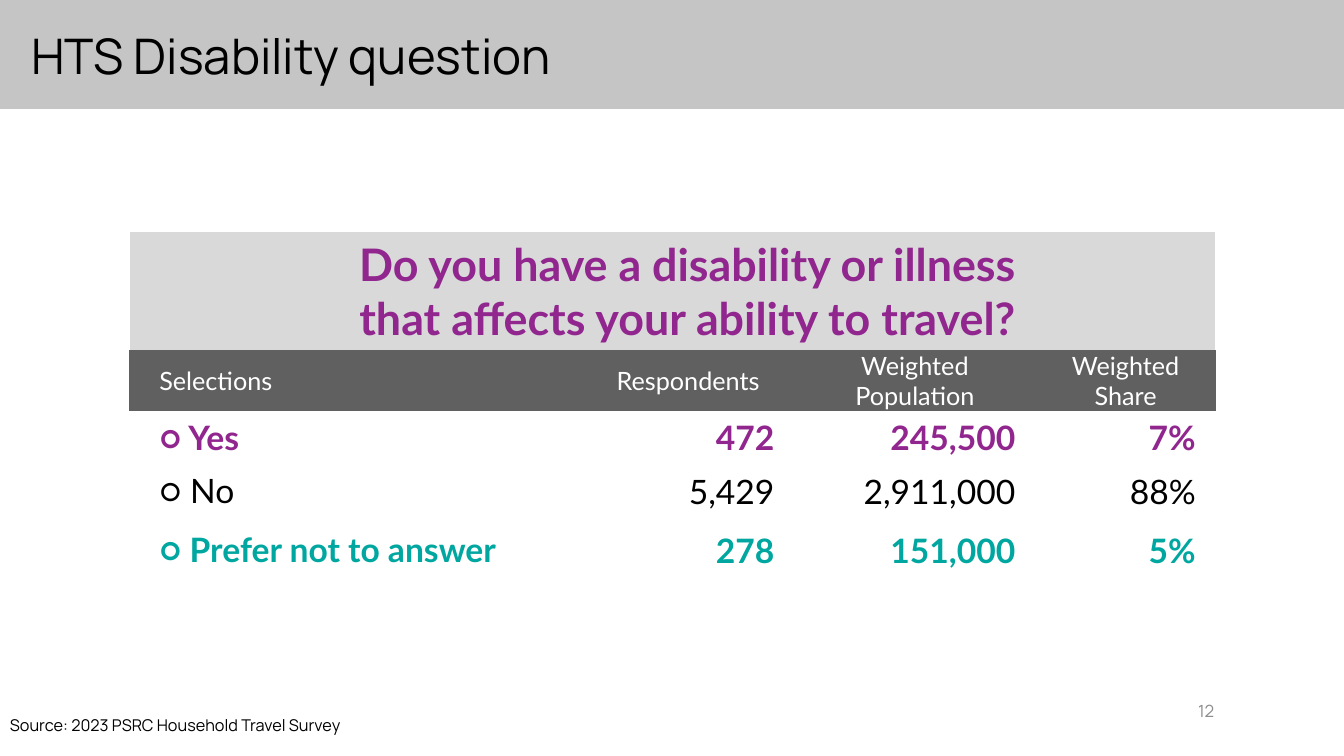
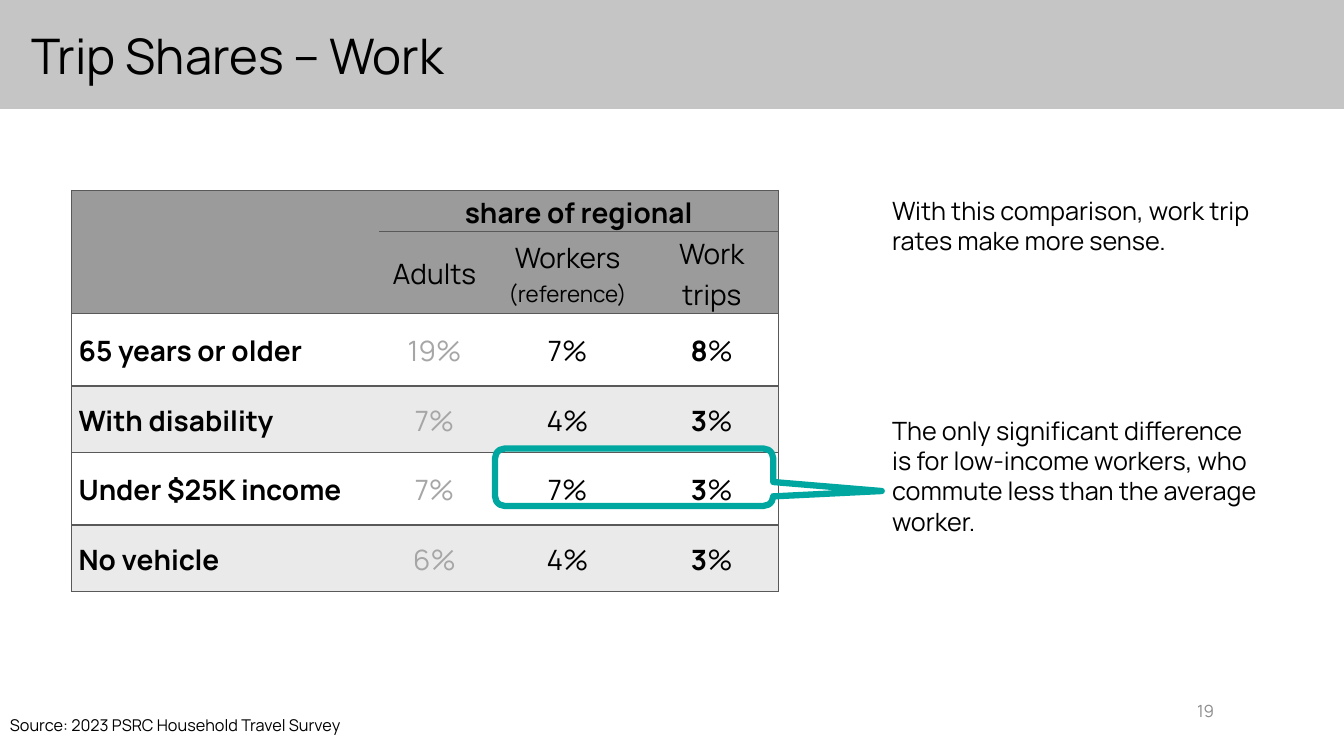
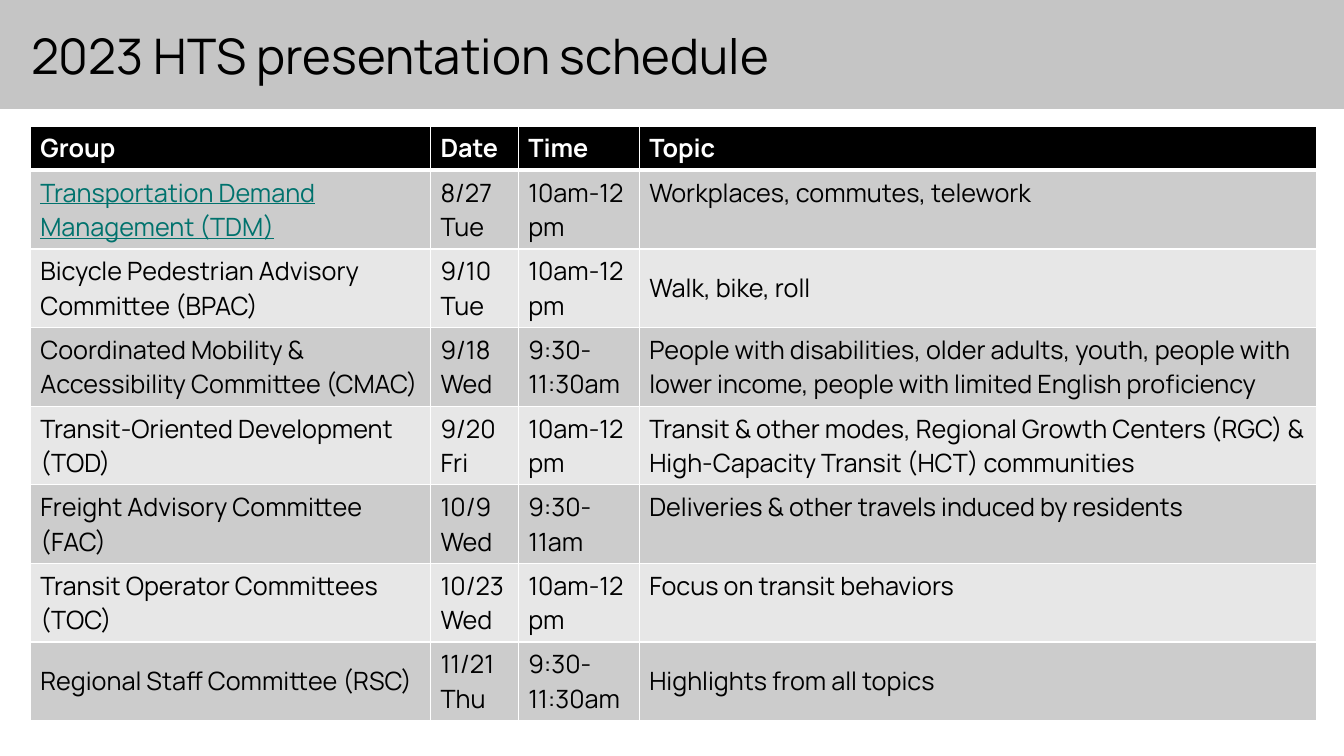
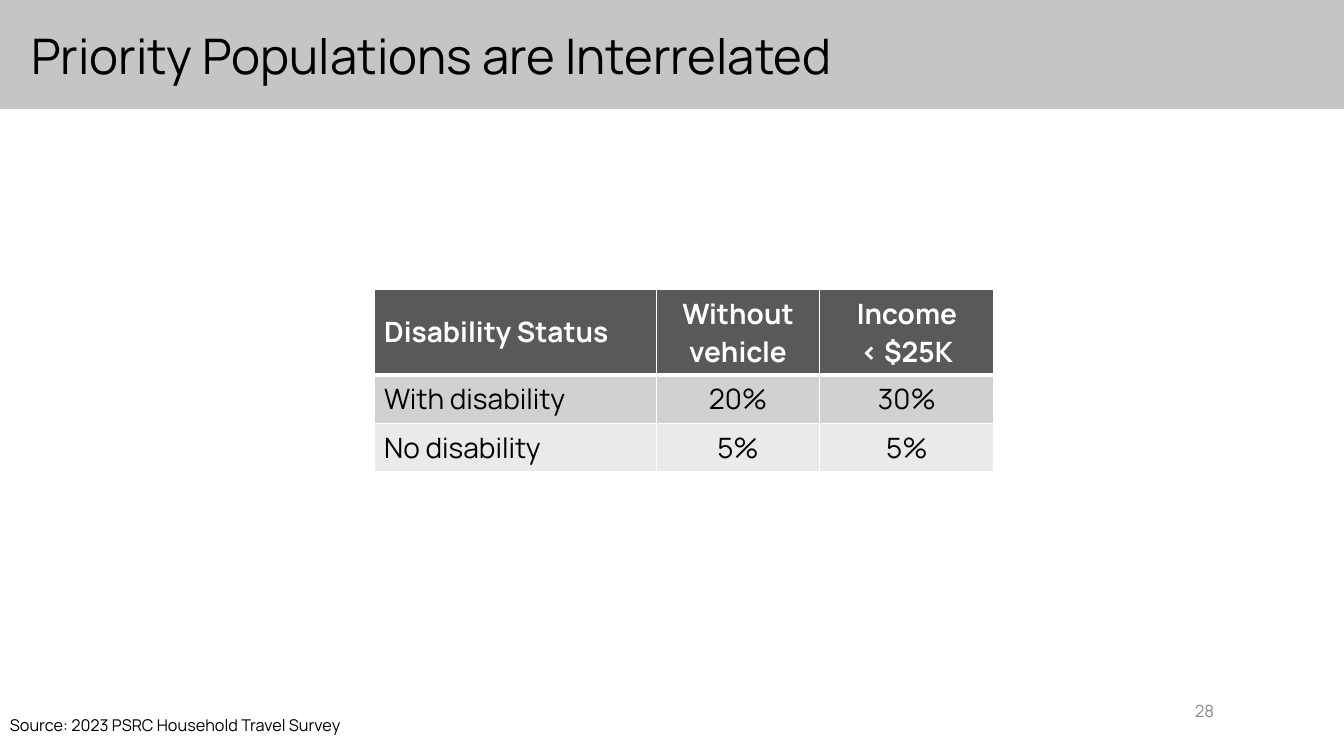
import dataclasses

import lxml.etree
import pptx
import pptx.dml.color
import pptx.enum.shapes
import pptx.enum.text
import pptx.oxml.ns
import pptx.util

Inches = pptx.util.Inches
Pt = pptx.util.Pt
LEFT = pptx.enum.text.PP_ALIGN.LEFT
CENTER = pptx.enum.text.PP_ALIGN.CENTER
RIGHT = pptx.enum.text.PP_ALIGN.RIGHT
TOP = pptx.enum.text.MSO_ANCHOR.TOP
MIDDLE = pptx.enum.text.MSO_ANCHOR.MIDDLE


@dataclasses.dataclass(frozen=True)
class Theme:
    """Colours, fonts and type sizes shared by the slides."""

    font: str = "Manrope"
    survey_font: str = "Lato"
    black: str = "000000"
    white: str = "FFFFFF"
    band: str = "C5C5C5"
    page: str = "8C8C8C"
    purple: str = "91268F"
    teal: str = "00A7A0"
    link: str = "00726D"
    question_fill: str = "D9D9D9"
    survey_head: str = "606060"
    share_head: str = "9B9B9B"
    share_line: str = "595959"
    muted: str = "A6A6A6"
    status_head: str = "595959"
    status_band: str = "D1D1D1"
    pale: str = "EAEAEA"
    schedule_bands: tuple = ("CCCCCC", "E7E7E7")
    title_size: float = 35
    question_size: float = 32
    answer_size: float = 24
    table_size: float = 20
    body_size: float = 18
    small_size: float = 16
    page_size: float = 12
    source_size: float = 11.6


T = Theme()


def rgb(color):
    """Turn a hex string into a colour."""
    return pptx.dml.color.RGBColor.from_string(color)


def style_run(r, size, color, bold, font):
    """Set the font of one run."""
    r.font.name = font
    r.font.size = Pt(size)
    r.font.bold = bold
    r.font.color.rgb = rgb(color)


def write(tf, text, size, color=T.black, bold=False, font=T.font, align=LEFT, spacing=None):
    """Fill a text frame and format all its paragraphs."""
    tf.text = text
    for p in tf.paragraphs:
        p.alignment = align
        if spacing:
            p.line_spacing = spacing
        for r in p.runs:
            style_run(r, size, color, bold, font)


def add_text(s, box, text, size, anchor=TOP, **style):
    """Add a wrapped text box at box (left, top, width, height)."""
    tf = s.shapes.add_textbox(*map(Inches, box)).text_frame
    tf.word_wrap = True
    tf.vertical_anchor = anchor
    write(tf, text, size, **style)


def add_frame(prs, title, page=None):
    """Start a slide with its band, title and, if paged, source and number."""
    s = prs.slides.add_slide(prs.slide_layouts[6])
    sp = s.shapes.add_shape(pptx.enum.shapes.MSO_SHAPE.RECTANGLE,
                            0, Inches(-0.06), prs.slide_width, Inches(1.14))
    sp.shadow.inherit = False
    sp.fill.solid()
    sp.fill.fore_color.rgb = rgb(T.band)
    sp.line.fill.background()
    add_text(s, (0.21, 0.25, 11.5, 0.67), title, T.title_size, MIDDLE, spacing=0.9)
    if page:
        add_text(s, (0, 7.1, 3.97, 0.35), "Source: 2023 PSRC Household Travel Survey",
                 T.source_size, spacing=0.7)
        add_text(s, (11.56, 6.85, 0.58, 0.4), str(page), T.page_size, MIDDLE,
                 color=T.page, align=RIGHT)
    return s


def add_grid(s, left, top, widths, heights):
    """Add a table with the given column widths and row heights."""
    table = s.shapes.add_table(len(heights), len(widths), Inches(left), Inches(top),
                               Inches(sum(widths)), Inches(sum(heights))).table
    table.first_row = False
    table.horz_banding = False
    for column, width in zip(table.columns, widths):
        column.width = Inches(width)
    for row, height in zip(table.rows, heights):
        row.height = Inches(height)
    return table


def set_borders(cell, sides, color=T.white, bottom=1):
    """Draw the named sides (of L, R, T, B) and clear the others."""
    tcPr = cell._tc.get_or_add_tcPr()
    for i, side in enumerate("LRTB"):
        ln = lxml.etree.Element(pptx.oxml.ns.qn(f"a:ln{side}"))
        ln.set("w", str(Pt(bottom if side == "B" else 1)))
        kind = "a:solidFill" if side in sides else "a:noFill"
        fill = lxml.etree.SubElement(ln, pptx.oxml.ns.qn(kind))
        if side in sides:
            lxml.etree.SubElement(fill, pptx.oxml.ns.qn("a:srgbClr")).set("val", color)
        tcPr.insert(i, ln)


def set_cell(cell, fill, margins=None, anchor=MIDDLE):
    """Set a cell's fill, anchor and margins (left, top, right, bottom)."""
    cell.fill.solid()
    cell.fill.fore_color.rgb = rgb(fill)
    cell.vertical_anchor = anchor
    if margins:
        (cell.margin_left, cell.margin_top,
         cell.margin_right, cell.margin_bottom) = map(Inches, margins)


def add_survey_table(s, left, top):
    """Place the disability question with its answers."""
    rows = [
        (("Selections", "Respondents", "Weighted Population", "Weighted\vShare"),
         T.body_size, T.white, False),
        (("○ Yes", "472", "245,500", "7%"), T.answer_size, T.purple, True),
        (("○ No", "5,429", "2,911,000", "88%"), T.answer_size, T.black, False),
        (("○ Prefer not to answer", "278", "151,000", "5%"), T.answer_size, T.teal, True),
    ]
    table = add_grid(s, left, top, (4.49, 2.11, 2.39, 1.79), (1.17, 0.61, 0.52, 0.54, 0.63))
    question = table.cell(0, 0)
    question.merge(table.cell(0, 3))
    set_cell(question, T.question_fill, (0.4, 0.05, 0.1, 0.05))
    set_borders(question, "LRT")
    write(question.text_frame,
          "Do you have a disability or illness\vthat affects your ability to travel?",
          T.question_size, T.purple, True, T.survey_font, CENTER)
    for i, (texts, size, color, bold) in enumerate(rows, 1):
        head = i == 1
        for j, text in enumerate(texts):
            cell = table.cell(i, j)
            margins = (0.2, 0.01, 0.2, 0) if j else (0.3, 0.05, 0.1, 0.05)
            set_cell(cell, T.survey_head if head else T.white, margins)
            set_borders(cell, "" if head else "LRB")
            align = LEFT if j == 0 else CENTER if head else RIGHT
            write(cell.text_frame, text, size, color, bold, T.survey_font, align)


def add_share_table(s, left, top):
    """Place the table of adult, worker and work trip shares."""
    groups = [
        ("65 years or older", "19%", "7%", "8"),
        ("With disability", "7%", "4%", "3"),
        ("Under $25K income", "7%", "7%", "3"),
        ("No vehicle", "6%", "4%", "3"),
    ]
    rows = [("", "share of regional", "", ""),
            ("", "Adults", "Workers\n(reference)", "Work\ntrips"), *groups]
    table = add_grid(s, left, top, (3.05, 1.1, 1.54, 1.32), (0.41, 0.81, 0.72, 0.66, 0.72, 0.66))
    table.cell(0, 0).merge(table.cell(1, 0))
    table.cell(0, 1).merge(table.cell(0, 3))
    for i, texts in enumerate(rows):
        head = i < 2
        fill = T.share_head if head else (T.white, T.pale)[i % 2]
        for j, text in enumerate(texts):
            cell = table.cell(i, j)
            set_cell(cell, fill, (0.07, 0, 0.07, 0))
            outer_right = j == 3 or (i, j) == (0, 1)
            set_borders(cell, "TB" + "L" * (j == 0) + "R" * outer_right, T.share_line)
            if not text:
                continue
            color = T.muted if j == 1 and not head else T.black
            bold = i == 0 or (not head and j in (0, 3))
            write(cell.text_frame, text, T.table_size, color, bold,
                  align=CENTER if j else LEFT, spacing=1.07)
            if j == 3 and not head:
                r = cell.text_frame.paragraphs[0].add_run()
                r.text = "%"
                style_run(r, T.table_size, T.black, False, T.font)
    reference = table.cell(1, 2).text_frame.paragraphs[1]
    reference.runs[0].font.size = Pt(T.small_size)


def add_callout(s, box):
    """Ring the low-income shares and point to the remark."""
    sp = s.shapes.add_shape(pptx.enum.shapes.MSO_SHAPE.ROUNDED_RECTANGULAR_CALLOUT,
                            *map(Inches, box))
    sp.shadow.inherit = False
    sp.fill.background()
    sp.line.color.rgb = rgb(T.teal)
    sp.line.width = Pt(4.5)
    for i, value in enumerate((0.89, 0.24, 0.17)):
        sp.adjustments[i] = value


def add_banded_table(s, left, top, widths, heights, rows, size, head_fill, bands,
                     head_anchor=MIDDLE, align=LEFT):
    """Place a table with a dark header and alternating rows."""
    table = add_grid(s, left, top, widths, heights)
    for i, texts in enumerate(rows):
        head = i == 0
        for j, text in enumerate(texts):
            cell = table.cell(i, j)
            set_cell(cell, head_fill if head else bands[(i - 1) % 2],
                     anchor=head_anchor if head else MIDDLE)
            set_borders(cell, "LRTB", bottom=3 if head else 1)
            write(cell.text_frame, text, size, T.white if head else T.black, head,
                  align=align if j else LEFT)
    return table


def add_schedule(s, left, top):
    """Place the schedule of committee presentations."""
    rows = [
        ("Group", "Date", "Time", "Topic"),
        ("Transportation Demand Management (TDM)", "8/27 Tue", "10am-12pm",
         "Workplaces, commutes, telework"),
        ("Bicycle Pedestrian Advisory Committee (BPAC)", "9/10 Tue", "10am-12pm",
         "Walk, bike, roll"),
        ("Coordinated Mobility & Accessibility Committee (CMAC)", "9/18 Wed", "9:30-11:30am",
         "People with disabilities, older adults, youth, people with lower income, "
         "people with limited English proficiency"),
        ("Transit-Oriented Development (TOD)", "9/20 Fri", "10am-12pm",
         "Transit & other modes, Regional Growth Centers (RGC) & "
         "High-Capacity Transit (HCT) communities"),
        ("Freight Advisory Committee (FAC)", "10/9 Wed", "9:30-11am",
         "Deliveries & other travels induced by residents"),
        ("Transit Operator Committees (TOC)", "10/23 Wed", "10am-12pm",
         "Focus on transit behaviors"),
        ("Regional Staff Committee (RSC)", "11/21 Thu", "9:30-11:30am",
         "Highlights from all topics"),
    ]
    table = add_banded_table(s, left, top, (3.97, 0.87, 1.2, 6.72), [0.44] + [0.78] * 7, rows,
                             T.body_size, T.black, T.schedule_bands, head_anchor=TOP)
    for i in (1, 5, 6):
        table.cell(i, 3).vertical_anchor = TOP
    r = table.cell(1, 0).text_frame.paragraphs[0].runs[0]
    r.font.underline = True
    r.font.color.rgb = rgb(T.link)


def add_status_table(s, left, top):
    """Place the shares by disability status."""
    rows = [
        ("Disability Status", "Without vehicle", "Income\v< $25K"),
        ("With disability", "20%", "30%"),
        ("No disability", "5%", "5%"),
    ]
    add_banded_table(s, left, top, (2.8, 1.62, 1.73), (0.85, 0.48, 0.48), rows,
                     T.table_size, T.status_head, (T.status_band, T.pale), align=CENTER)


def main():
    """Build the four slides and save them."""
    prs = pptx.Presentation()
    prs.slide_width = Inches(13.33)
    prs.slide_height = Inches(7.5)

    add_survey_table(add_frame(prs, "HTS Disability question", 12), 1.28, 2.3)

    s = add_frame(prs, "Trip Shares – Work", 19)
    add_share_table(s, 0.71, 1.89)
    add_text(s, (8.75, 1.89, 3.88, 0.71),
             "With this comparison, work trip rates make more sense.", T.body_size)
    add_callout(s, (4.91, 4.45, 2.76, 0.57))
    add_text(s, (8.75, 4.07, 3.88, 1.31),
             "The only significant difference is for low-income workers, "
             "who commute less than the average worker.", T.body_size)

    add_schedule(add_frame(prs, "2023 HTS presentation schedule"), 0.3, 1.25)
    add_status_table(add_frame(prs, "Priority Populations are Interrelated", 28), 3.71, 2.87)
    prs.save("out.pptx")


if __name__ == "__main__":
    main()
